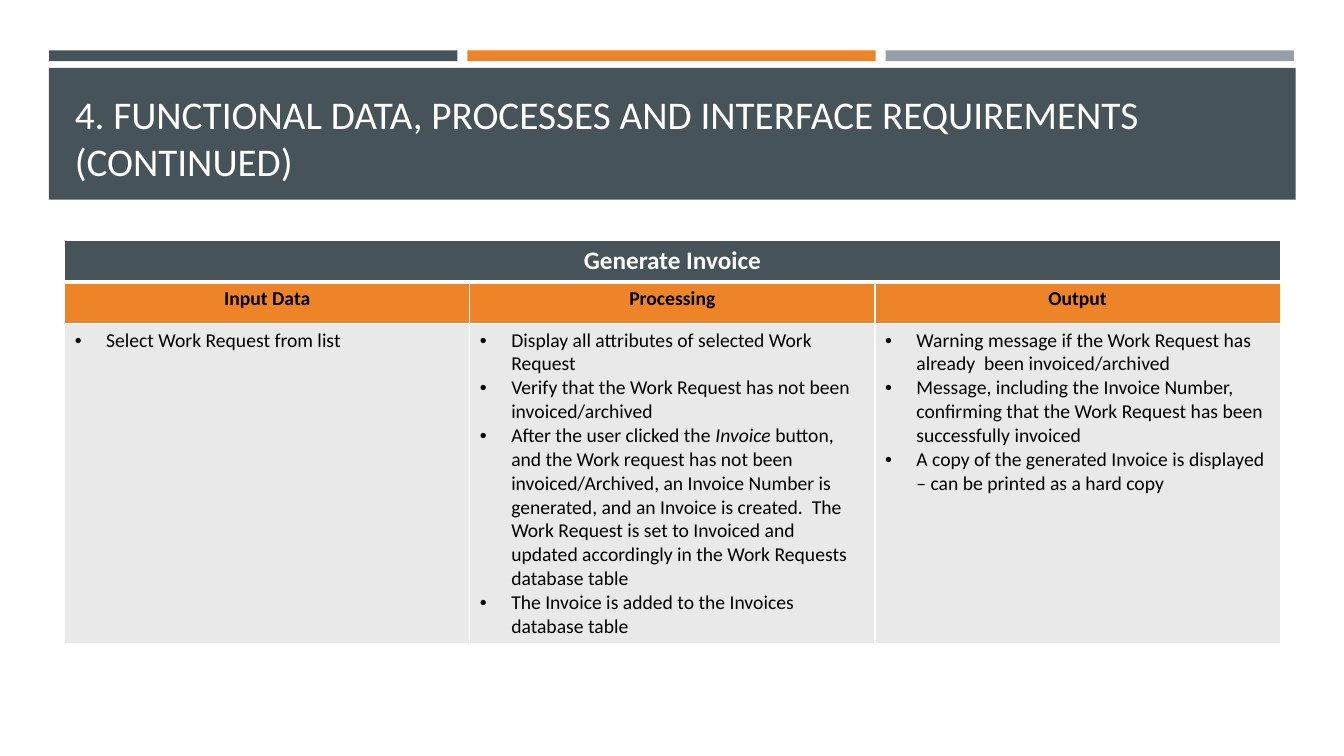
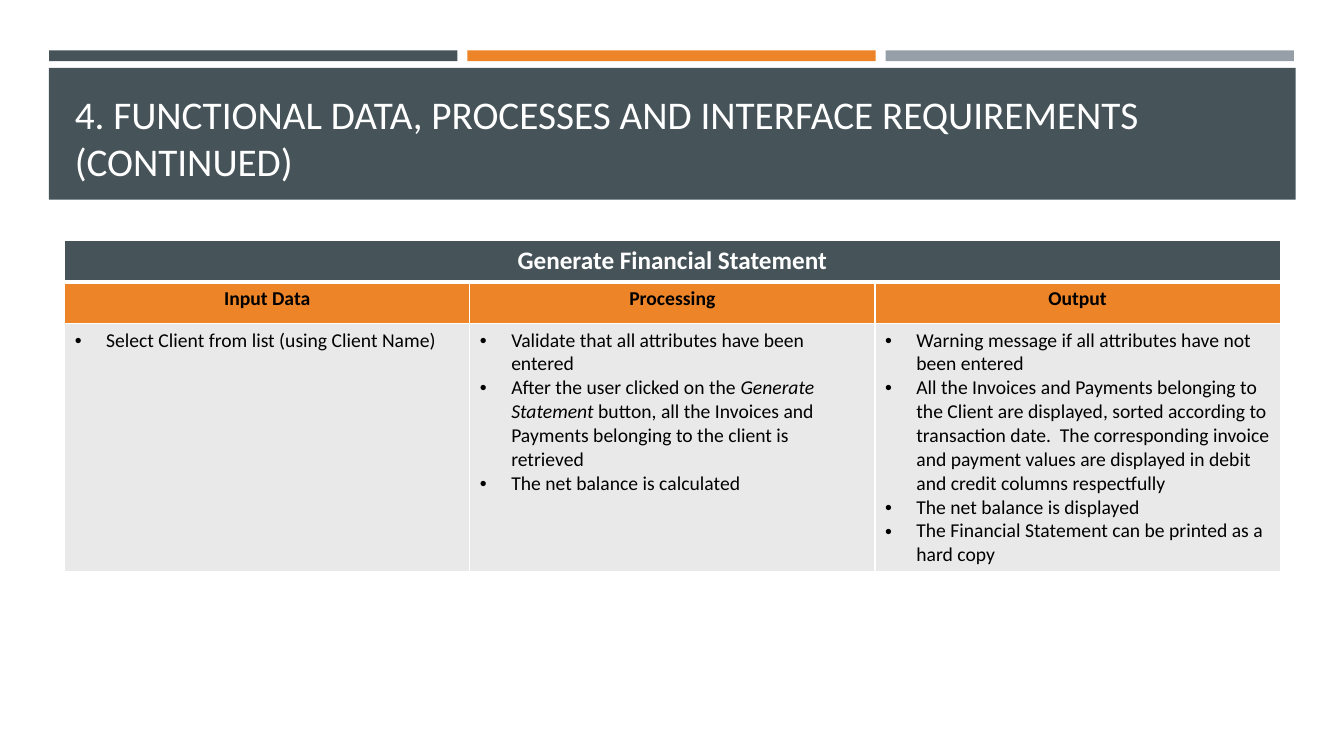
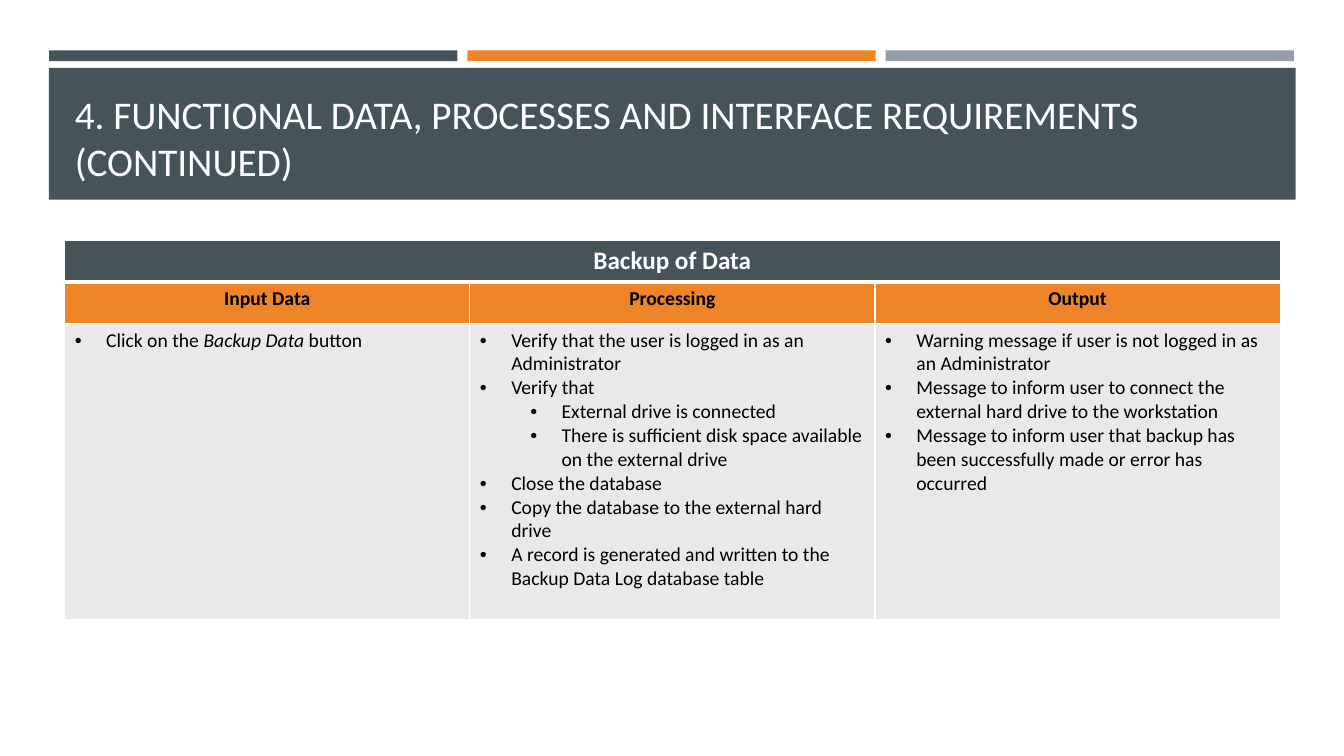
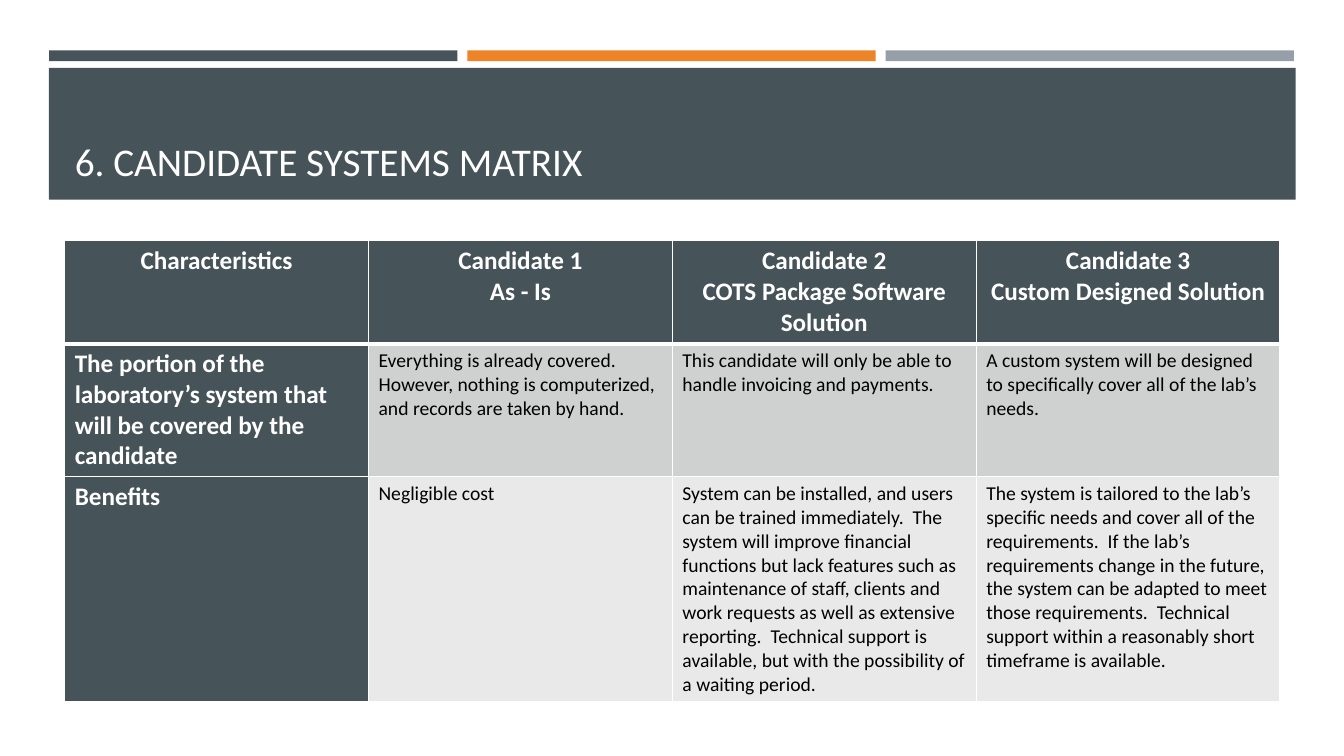
from lxml.etree import SubElement
from pptx import Presentation
from pptx.dml.color import RGBColor
from pptx.enum.shapes import MSO_SHAPE
from pptx.enum.text import MSO_ANCHOR, MSO_AUTO_SIZE, PP_ALIGN
from pptx.oxml import parse_xml
from pptx.oxml.ns import nsdecls, qn
from pptx.util import Cm, Pt

SLATE = RGBColor(0x46, 0x53, 0x59)
ORANGE = RGBColor(0xED, 0x84, 0x28)
GREY = RGBColor(0x96, 0x9F, 0xA7)
MID = RGBColor(0xCF, 0xD1, 0xD1)
PALE = RGBColor(0xE9, 0xE9, 0xEA)
WHITE = RGBColor(0xFF, 0xFF, 0xFF)
BLACK = RGBColor(0, 0, 0)
FONT = "Calibri"

TITLE_BOX = (Cm(1.63), Cm(1.96), Cm(30.63), Cm(2.82))
TABLE_LEFT, TABLE_TOP, TABLE_WIDTH = Cm(1.63), Cm(6.07), Cm(30.63)
HEAD_HEIGHT = Cm(1.04)
INDENT, LEVEL_STEP = Cm(0.79), Cm(1.27)

PROCESS_TITLE = ("4. FUNCTIONAL DATA, PROCESSES AND INTERFACE REQUIREMENTS "
                 "(CONTINUED)")
PROCESS_HEADS = ["Input Data", "Processing", "Output"]

# Each process: name, height of its body row, items per column.
# Asterisks enclose italics; an inner list is one level deeper.
PROCESSES = [
    ("Generate Invoice", Cm(8.08), [
        ["Select Work Request from list"],
        ["Display all attributes of selected Work Request",
         "Verify that the Work Request has not been invoiced/archived",
         "After the user clicked the *Invoice* button, and the Work request "
         "has not been invoiced/Archived, an Invoice Number is generated, "
         "and an Invoice is created.  The Work Request is set to Invoiced "
         "and updated accordingly in the Work Requests database table",
         "The Invoice is added to the Invoices database table"],
        ["Warning message if the Work Request has already  been "
         "invoiced/archived",
         "Message, including the Invoice Number, confirming that the Work "
         "Request has been successfully invoiced",
         "A copy of the generated Invoice is displayed – can be printed as "
         "a hard copy"],
    ]),
    ("Generate Financial Statement", Cm(6.25), [
        ["Select Client from list (using Client Name)"],
        ["Validate that all attributes have been entered",
         "After the user clicked on the *Generate Statement* button, all the "
         "Invoices and Payments belonging to the client is retrieved",
         "The net balance is calculated"],
        ["Warning message if all attributes have not been entered",
         "All the Invoices and Payments belonging to the Client are "
         "displayed, sorted according to transaction date.  The "
         "corresponding invoice and payment values are displayed in debit "
         "and credit columns respectfully",
         "The net balance is displayed",
         "The Financial Statement can be printed as a hard copy"],
    ]),
    ("Backup of Data", Cm(7.47), [
        ["Click on the *Backup Data* button"],
        ["Verify that the user is logged in as an Administrator",
         "Verify that",
         ["External drive is connected",
          "There is sufficient disk space available on the external drive"],
         "Close the database",
         "Copy the database to the external hard drive",
         "A record is generated and written to the Backup Data Log database "
         "table"],
        ["Warning message if user is not logged in as an Administrator",
         "Message to inform user to connect the external hard drive to the "
         "workstation",
         "Message to inform user that backup has been successfully made or "
         "error has occurred"],
    ]),
]

MATRIX_HEIGHTS = [Cm(2.59), Cm(3.33), Cm(5.64)]
MATRIX = [
    ["Characteristics", "Candidate 1\nAs - Is",
     "Candidate 2\nCOTS Package Software Solution",
     "Candidate 3\nCustom Designed Solution"],
    ["The portion of the laboratory’s system that will be covered by the "
     "candidate",
     "Everything is already covered.  However, nothing is computerized, and "
     "records are taken by hand.",
     "This candidate will only be able to handle invoicing and payments.",
     "A custom system will be designed to specifically cover all of the "
     "lab’s needs."],
    ["Benefits", "Negligible cost",
     "System can be installed, and users can be trained immediately.  The "
     "system will improve financial functions but lack features such as "
     "maintenance of staff, clients and work requests as well as extensive "
     "reporting.  Technical support is available, but with the possibility "
     "of a waiting period.",
     "The system is tailored to the lab’s specific needs and cover all of "
     "the requirements.  If the lab’s requirements change in the future, the "
     "system can be adapted to meet those requirements.  Technical support "
     "within a reasonably short timeframe is available."],
]


def style_font(font, size, color, bold=False):
    font.name, font.size, font.bold = FONT, Pt(size), bold
    font.color.rgb = color


def add_bar(slide, left, top, width, height, color):
    sp = slide.shapes.add_shape(MSO_SHAPE.RECTANGLE, left, top, width, height)
    sp.shadow.inherit = False
    sp.fill.solid()
    sp.fill.fore_color.rgb = color
    sp.line.fill.background()
    return sp


def move_bands_to_layout(slide):
    """Draw the three strips and the title band, and let the layout own them."""
    bars = [add_bar(slide, Cm(1.24 + 10.54 * i), Cm(1.27), Cm(10.29),
                    Cm(0.27), color)
            for i, color in enumerate((SLATE, ORANGE, GREY))]
    bars.append(add_bar(slide, Cm(1.23), Cm(1.71), Cm(31.42), Cm(3.32), SLATE))
    tree = slide.slide_layout.shapes.element
    for i, bar in enumerate(bars):
        tree.insert(2 + i, bar.element)


def add_titled_slide(prs, text):
    slide = prs.slides.add_slide(prs.slide_layouts[5])
    title = slide.shapes.title
    title.left, title.top, title.width, title.height = TITLE_BOX
    tf = title.text_frame
    tf.text = text
    tf.word_wrap = True
    tf.auto_size = MSO_AUTO_SIZE.NONE
    tf.vertical_anchor = MSO_ANCHOR.BOTTOM
    p = tf.paragraphs[0]
    p.alignment = PP_ALIGN.LEFT
    style_font(p.runs[0].font, 28, WHITE)
    return slide


def set_borders(cell, row):
    """White hairlines, with a heavier rule below the first row."""
    widths = {"L": 1, "R": 1, "T": 3 if row == 1 else 1,
              "B": 3 if row == 0 else 1}
    tcPr = cell._tc.get_or_add_tcPr()
    for i, (side, width) in enumerate(widths.items()):
        tcPr.insert(i, parse_xml(
            f'<a:ln{side} {nsdecls("a")} w="{Pt(width)}"><a:solidFill>'
            f'<a:srgbClr val="{WHITE}"/></a:solidFill></a:ln{side}>'))


def add_grid(slide, left, top, width, heights, cols):
    """Add a plain table with equal columns and white borders."""
    table = slide.shapes.add_table(len(heights), cols, left, top, width,
                                   sum(heights)).table
    table.first_row = table.horz_banding = False
    for column in table.columns:
        column.width = width // cols
    for r, height in enumerate(heights):
        table.rows[r].height = height
        for cell in table.rows[r].cells:
            set_borders(cell, r)
    return table


def fill_cell(cell, color):
    cell.fill.solid()
    cell.fill.fore_color.rgb = color


def write_cell(cell, text, fill, size, color, bold=False, align=PP_ALIGN.LEFT):
    fill_cell(cell, fill)
    cell.text_frame.text = text
    for p in cell.text_frame.paragraphs:
        p.alignment = align
        for run in p.runs:
            style_font(run.font, size, color, bold)


def flatten(items, level=0):
    for item in items:
        if isinstance(item, list):
            yield from flatten(item, level + 1)
        else:
            yield level, item


def write_bullets(cell, items):
    fill_cell(cell, PALE)
    tf = cell.text_frame
    for i, (level, text) in enumerate(flatten(items)):
        p = tf.add_paragraph() if i else tf.paragraphs[0]
        p.level = level
        pPr = p._p.get_or_add_pPr()
        pPr.set("marL", str(INDENT + level * LEVEL_STEP))
        pPr.set("indent", str(-INDENT))
        SubElement(pPr, qn("a:buFont")).set("typeface", "Arial")
        SubElement(pPr, qn("a:buChar")).set("char", "•")
        for k, part in enumerate(text.split("*")):
            run = p.add_run()
            run.text = part
            style_font(run.font, 14, BLACK)
            run.font.italic = k % 2 == 1


def add_process_table(slide, name, body_height, columns):
    table = add_grid(slide, TABLE_LEFT, TABLE_TOP, TABLE_WIDTH,
                     [HEAD_HEIGHT, HEAD_HEIGHT, body_height], len(columns))
    table.cell(0, 0).merge(table.cell(0, len(columns) - 1))
    write_cell(table.cell(0, 0), name, SLATE, 18, WHITE, True, PP_ALIGN.CENTER)
    for c, (head, items) in enumerate(zip(PROCESS_HEADS, columns)):
        write_cell(table.cell(1, c), head, ORANGE, 14, BLACK, True,
                   PP_ALIGN.CENTER)
        write_bullets(table.cell(2, c), items)


def add_matrix_table(slide):
    table = add_grid(slide, TABLE_LEFT, TABLE_TOP, TABLE_WIDTH,
                     MATRIX_HEIGHTS, len(MATRIX[0]))
    for r, texts in enumerate(MATRIX):
        for c, text in enumerate(texts):
            cell = table.cell(r, c)
            if r == 0:
                write_cell(cell, text, SLATE, 18, WHITE, True, PP_ALIGN.CENTER)
            elif c == 0:
                write_cell(cell, text, SLATE, 18, WHITE, True)
            else:
                write_cell(cell, text, MID if r % 2 else PALE, 14, BLACK)


def main():
    prs = Presentation()
    prs.slide_width, prs.slide_height = Cm(33.87), Cm(19.05)
    for process in PROCESSES:
        add_process_table(add_titled_slide(prs, PROCESS_TITLE), *process)
    add_matrix_table(add_titled_slide(prs, "6. CANDIDATE SYSTEMS MATRIX"))
    move_bands_to_layout(prs.slides[0])
    prs.save("out.pptx")


if __name__ == "__main__":
    main()
